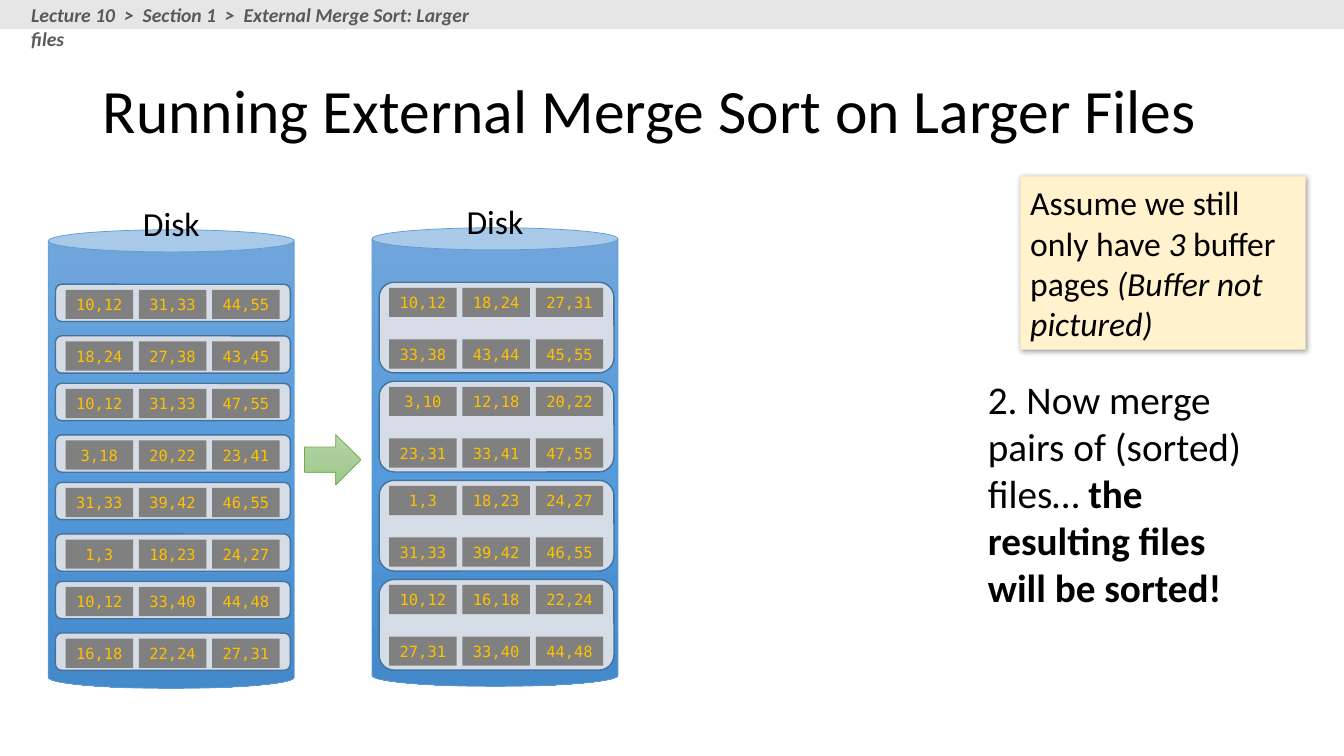
from collections import namedtuple
from copy import deepcopy

from lxml import etree
from pptx import Presentation
from pptx.dml.color import RGBColor
from pptx.enum.shapes import MSO_SHAPE
from pptx.enum.text import MSO_ANCHOR, PP_ALIGN
from pptx.oxml.ns import qn
from pptx.util import Inches, Pt

CAN, ROUNDED = MSO_SHAPE.CAN, MSO_SHAPE.ROUNDED_RECTANGLE
RECTANGLE, ARROW = MSO_SHAPE.RECTANGLE, MSO_SHAPE.RIGHT_ARROW
TOP, MIDDLE = MSO_ANCHOR.TOP, MSO_ANCHOR.MIDDLE
LEFT, CENTER = PP_ALIGN.LEFT, PP_ALIGN.CENTER

BLACK = RGBColor(0, 0, 0)
CRUMB_GRAY = RGBColor(0x59, 0x59, 0x59)
BAR_GRAY = RGBColor(0xE7, 0xE6, 0xE6)
CELL_GRAY = RGBColor(0x80, 0x80, 0x80)
GOLD = RGBColor(0xFF, 0xC0, 0x00)
CREAM = RGBColor(0xFF, 0xF2, 0xCC)
RUN_FILL = RGBColor(0xD6, 0xDC, 0xE5)
RUN_LINE = RGBColor(0x43, 0x73, 0x9E)
DISK_LINE = RGBColor(0x5B, 0x9B, 0xD5)
ARROW_LINE = RGBColor(0x70, 0xAD, 0x47)
DISK_BLUES = [RGBColor(0x71, 0xA6, 0xDB), RGBColor(0x55, 0x9B, 0xDB), RGBColor(0x44, 0x8A, 0xCA)]
ARROW_GREENS = [RGBColor(0xB5, 0xD5, 0xA7), RGBColor(0xAA, 0xCE, 0x9A), RGBColor(0x9C, 0xC9, 0x87)]

BODY_FONT, CELL_FONT = "Calibri", "DejaVu Sans Mono"

SORTED_PAGES = [
    ["10,12", "31,33", "44,55"], ["18,24", "27,38", "43,45"],
    ["10,12", "31,33", "47,55"], ["3,18", "20,22", "23,41"],
    ["31,33", "39,42", "46,55"], ["1,3", "18,23", "24,27"],
    ["10,12", "33,40", "44,48"], ["16,18", "22,24", "27,31"],
]
MERGED_PAGES = [
    ["10,12", "18,24", "27,31"], ["33,38", "43,44", "45,55"],
    ["3,10", "12,18", "20,22"], ["23,31", "33,41", "47,55"],
    ["1,3", "18,23", "24,27"], ["31,33", "39,42", "46,55"],
    ["10,12", "16,18", "22,24"], ["27,31", "33,40", "44,48"],
]


class Box(namedtuple("Box", "left top width height")):
    def area(self, left, top, width, height):
        """Return a box whose sides are percentages of this one."""
        return Box(
            int(self.left + self.width * left / 100),
            int(self.top + self.height * top / 100),
            int(self.width * width / 100),
            int(self.height * height / 100),
        )


def apply(target, formats):
    for name, value in formats.items():
        setattr(target, name, value)


def write(shape, spans, size, color=BLACK, font=BODY_FONT, align=LEFT, anchor=TOP, **frame_formats):
    frame = shape.text_frame
    apply(frame, {"word_wrap": True, "vertical_anchor": anchor, **frame_formats})
    para = frame.paragraphs[0]
    para.alignment = align
    for text, styles in spans:
        span = para.add_run()
        span.text = text
        apply(span.font, {"name": font, "size": Pt(size), **styles})
        span.font.color.rgb = color
    return para


def add_label(page, box, spans, size, **formats):
    write(page.shapes.add_textbox(*box), spans, size, **formats)


def fill_gradient(shape, colors):
    shape.fill.gradient()
    shape.fill.gradient_angle = 270
    stops = shape._element.spPr.find(".//" + qn("a:gsLst"))
    stops.append(deepcopy(stops[-1]))
    for index, (stop, color) in enumerate(zip(shape.fill.gradient_stops, colors)):
        stop.position = index / 2
        stop.color.rgb = color


def draw(page, kind, box, fill, line=None, width=1):
    shape = page.shapes.add_shape(kind, *box)
    shape.shadow.inherit = False
    if isinstance(fill, list):
        fill_gradient(shape, fill)
    else:
        shape.fill.solid()
        shape.fill.fore_color.rgb = fill
    if line is None:
        shape.line.fill.background()
    else:
        shape.line.color.rgb = line
        shape.line.width = Pt(width)
    return shape


def add_shadow(shape):
    effects = shape._element.spPr.find(qn("a:effectLst"))
    shadow = etree.SubElement(
        effects, qn("a:outerShdw"),
        blurRad=str(Pt(4)), dist=str(Pt(1)), dir="2700000", algn="tl", rotWithShape="0",
    )
    color = etree.SubElement(shadow, qn("a:srgbClr"), val="000000")
    etree.SubElement(color, qn("a:alpha"), val="40000")


def add_header(page, box):
    draw(page, RECTANGLE, box.area(0, 0, 100, 3.87), BAR_GRAY)
    crumbs = "Lecture 10  >  Section 1  >  External Merge Sort: Larger files"
    add_label(page, box.area(1.58, -0.27, 36.16, 4.53),
              [(crumbs, {"bold": True, "italic": True})], 14, color=CRUMB_GRAY)


def add_title(page, box):
    title = page.shapes.title
    apply(title, box._asdict())
    para = write(title, [("Running External Merge Sort on Larger Files", {})], 44, anchor=MIDDLE)
    para.line_spacing = 0.9


def add_disk(page, box, rows, rows_per_run, run_height):
    disk = draw(page, CAN, box, DISK_BLUES, DISK_LINE, 0.5)
    disk.adjustments[0] = 0.09
    row_tops = [index // 2 * 21.6 + index % 2 * 11.25 for index in range(len(rows))]
    for top in row_tops[::rows_per_run]:
        draw(page, ROUNDED, box.area(2.87, 11.87 + top, 95.5, run_height), RUN_FILL, RUN_LINE)
    for top, row in zip(row_tops, rows):
        for column, keys in enumerate(row):
            cell = draw(page, RECTANGLE,
                        box.area(6.97 + column * 29.8, 13.08 + top, 27.46, 6.37), CELL_GRAY)
            write(cell, [(keys, {})], 11, GOLD, CELL_FONT, CENTER, MIDDLE,
                  margin_left=0, margin_right=0)
    add_label(page, box.area(29.5, -7.03, 41, 11), [("Disk", {})], 24, align=CENTER)


def add_note(page, box):
    note = draw(page, RECTANGLE, box, CREAM)
    add_shadow(note)
    write(note, [
        ("Assume we still only have ", {}),
        ("3", {"italic": True}),
        (" buffer pages ", {}),
        ("(Buffer not pictured)", {"italic": True}),
    ], 24, anchor=MIDDLE)


def add_step(page, box):
    add_label(page, box, [
        ("2. Now merge pairs of (sorted) files… ", {}),
        ("the resulting files will be sorted!", {"bold": True}),
    ], 28)


def main():
    deck = Presentation()
    apply(deck, {"slide_width": Inches(13.33), "slide_height": Inches(7.5)})
    page = deck.slides.add_slide(deck.slide_layouts[5])
    whole = Box(0, 0, deck.slide_width, deck.slide_height)
    add_title(page, whole.area(6.9, 5.33, 86.27, 19.33))
    add_disk(page, whole.area(3.6, 30.4, 18.3, 60.67), SORTED_PAGES, 1, 8.13)
    add_step(page, whole.area(72.77, 48.93, 21.3, 32.8))
    add_disk(page, whole.area(27.68, 30.13, 18.3, 60.67), MERGED_PAGES, 2, 19.78)
    draw(page, ARROW, whole.area(22.66, 57.47, 4.2, 6.67), ARROW_GREENS, ARROW_LINE, 0.5)
    add_note(page, whole.area(75.92, 23.33, 21.23, 22.93))
    add_header(page, whole)
    deck.save("out.pptx")


if __name__ == "__main__":
    main()
